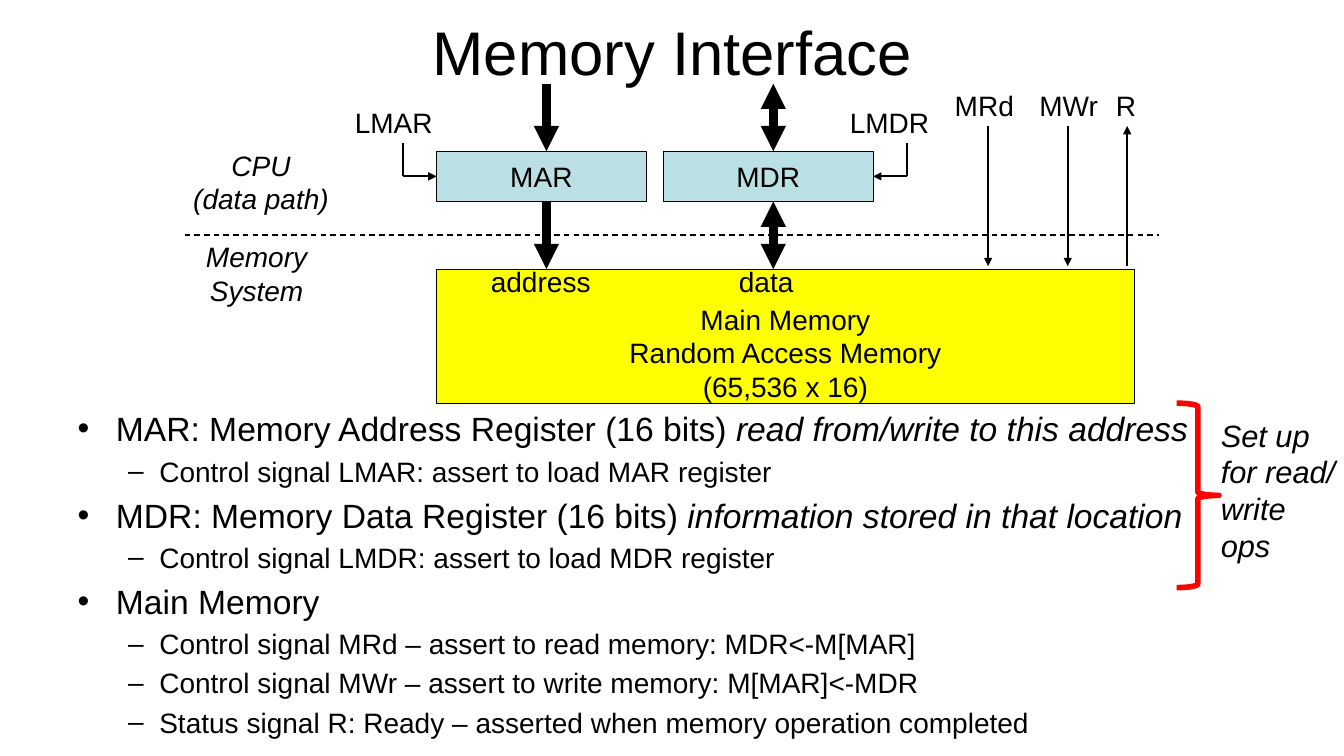
import pptx
import pptx.util
import pptx.dml.color
import pptx.enum.dml
import pptx.enum.shapes
import pptx.enum.text
import pptx.oxml.ns
from lxml import etree

Inches, Pt = pptx.util.Inches, pptx.util.Pt
ALIGN, ANCHOR = pptx.enum.text.PP_ALIGN, pptx.enum.text.MSO_ANCHOR
AUTO = pptx.enum.text.MSO_AUTO_SIZE
SHAPE = pptx.enum.shapes.MSO_SHAPE
BLACK, BLUE, YELLOW, RED = "000000", "BBE0E3", "FFFF00", "FF0000"


def paint(color_format, hex_color):
    color_format.rgb = pptx.dml.color.RGBColor.from_string(hex_color)


def add_xml(parent, tag, **attributes):
    return etree.SubElement(parent, pptx.oxml.ns.qn(tag), **attributes)


class SlideBuilder:
    font = "Arial"
    label_size = 20

    def __init__(self, slide):
        self.slide = slide

    def place(self, shape, left, top, width, height):
        shape.left, shape.top = Inches(left), Inches(top)
        shape.width, shape.height = Inches(width), Inches(height)

    def run(self, paragraph, text, size, italic=False):
        run = paragraph.add_run()
        run.text = text
        run.font.name, run.font.size, run.font.italic = self.font, Pt(size), italic
        paint(run.font.color, BLACK)

    def lines(self, frame, texts, size, align, italic=False):
        for i, text in enumerate(texts):
            paragraph = frame.add_paragraph() if i else frame.paragraphs[0]
            paragraph.alignment = align
            self.run(paragraph, text, size, italic)

    def title(self, text, *box):
        holder = self.slide.shapes.title
        self.place(holder, *box)
        holder.text_frame.vertical_anchor = ANCHOR.MIDDLE
        self.lines(holder.text_frame, [text], 44, ALIGN.CENTER)

    def bullets(self, items, *box):
        holder = self.slide.placeholders[1]
        self.place(holder, *box)
        frame = holder.text_frame
        frame.auto_size = AUTO.NONE
        # Per level: text size, left margin, hanging indent, bullet
        levels = [(24, 0.38, 0.38, "•"), (20, 0.81, 0.31, "–")]
        for i, (level, plain, emphasis) in enumerate(items):
            size, margin, hanging, mark = levels[level]
            paragraph = frame.add_paragraph() if i else frame.paragraphs[0]
            paragraph.level = level
            if i == 0:
                paragraph.space_before = Pt(0)
            props = paragraph._p.get_or_add_pPr()
            props.set("marL", str(Inches(margin)))
            props.set("indent", str(-Inches(hanging)))
            add_xml(props, "a:buChar", char=mark)
            self.run(paragraph, plain, size)
            if emphasis:
                self.run(paragraph, emphasis, size, italic=True)

    def shape(self, kind, box, line, width, fill=None):
        shape = self.slide.shapes.add_shape(kind, *map(Inches, box))
        shape.shadow.inherit = False
        if fill:
            shape.fill.solid()
            paint(shape.fill.fore_color, fill)
        else:
            shape.fill.background()
        paint(shape.line.color, line)
        shape.line.width = Pt(width)
        return shape

    def block(self, texts, box, fill, anchor=ANCHOR.MIDDLE):
        block = self.shape(SHAPE.RECTANGLE, box, BLACK, 0.75, fill)
        frame = block.text_frame
        frame.vertical_anchor = anchor
        if anchor == ANCHOR.BOTTOM:
            frame.margin_bottom = 0
        self.lines(frame, texts, self.label_size, ALIGN.CENTER)
        return block

    def label(self, texts, box, size=label_size, align=ALIGN.LEFT, italic=False, wrap=False):
        frame = self.slide.shapes.add_textbox(*map(Inches, box)).text_frame
        frame.word_wrap = wrap
        frame.auto_size = AUTO.SHAPE_TO_FIT_TEXT
        self.lines(frame, texts, size, align, italic)

    def line(self, start, end, width=1.5, head=False, tail=False, dashed=False):
        line = self.slide.shapes.add_connector(
            pptx.enum.shapes.MSO_CONNECTOR.STRAIGHT, *map(Inches, start + end))
        paint(line.line.color, BLACK)
        line.line.width = Pt(width)
        if dashed:
            line.line.dash_style = pptx.enum.dml.MSO_LINE.DASH
        for wanted, tag in ((head, "a:headEnd"), (tail, "a:tailEnd")):
            if wanted:
                add_xml(line.get_or_add_ln(), tag, type="triangle")
        add_xml(line._element.spPr, "a:effectLst")
        return line


def main():
    deck = pptx.Presentation()
    deck.slide_width, deck.slide_height = Inches(13.33), Inches(7.5)
    page = SlideBuilder(deck.slides.add_slide(deck.slide_layouts[1]))

    # Title and explanations
    page.title("Memory Interface", 2.42, 0, 8.5, 1)
    page.bullets([
        (0, "MAR: Memory Address Register (16 bits) ", "read from/write to this address"),
        (1, "Control signal LMAR: assert to load MAR register", ""),
        (0, "MDR: Memory Data Register (16 bits) ", "information stored in that location"),
        (1, "Control signal LMDR: assert to load MDR register", ""),
        (0, "Main Memory", ""),
        (1, "Control signal MRd – assert to read memory: MDR<-M[MAR]", ""),
        (1, "Control signal MWr – assert to write memory: M[MAR]<-MDR", ""),
        (1, "Status signal R: Ready – asserted when memory operation completed", ""),
    ], 0.67, 4, 12, 3.5)

    # Registers and memory
    mar = page.block(["MAR"], (4.33, 1.5, 2.08, 0.5), BLUE)
    mdr = page.block(["MDR"], (6.58, 1.5, 2.08, 0.5), BLUE)
    page.block(["Main Memory", "Random Access Memory", "(65,536 x 16)"],
               (4.33, 2.67, 6.92, 1.33), YELLOW, ANCHOR.BOTTOM)

    # Address bus (one way) and data bus (both ways)
    for x, two_way in ((5.42, False), (7.67, True)):
        for top, bottom in ((0.83, 1.5), (2, 2.67)):
            page.line((x, top), (x, bottom), 6, head=two_way, tail=True)
    page.label(["address"], (4.77, 2.58, 1.2, 0.44))
    page.label(["data"], (7.23, 2.58, 0.75, 0.44))

    # Memory control and status signals
    for name, left, width, x, to_memory in (("MRd", 9.37, 0.79, 9.8, True),
                                            ("MWr", 10.21, 0.79, 10.59, True),
                                            ("R", 10.97, 0.41, 11.18, False)):
        page.label([name], (left, 0.83, width, 0.44))
        page.line((x, 1.25), (x, 2.64), head=not to_memory, tail=to_memory)

    # Register load signals
    for name, left, width, x, register, side in (("LMAR", 3.42, 0.98, 4, mar, 1),
                                                 ("LMDR", 8.33, 1, 9, mdr, 3)):
        page.label([name], (left, 1, width, 0.44))
        page.line((x, 1.42), (x, 1.75))
        load = page.line((x, 1.75), (x, 1.75), tail=True)
        load.end_connect(register, side)

    # Boundary between processor and memory
    page.line((1.83, 2.33), (11.5, 2.33), 1, dashed=True)
    for texts, box in ((["CPU", "(data path)"], (1.81, 1.42, 1.56, 0.77)),
                       (["Memory", "System"], (1.94, 2.33, 1.21, 0.77))):
        page.label(texts, box, align=ALIGN.CENTER, italic=True)

    # Brace and remark
    page.shape(SHAPE.RIGHT_BRACE, (11.67, 4, 0.42, 1.83), RED, 4)
    page.label(["Set up for read/ write ops"], (12.01, 4.08, 1.38, 1.58),
               size=22, italic=True, wrap=True)

    deck.save("out.pptx")


if __name__ == "__main__":
    main()
